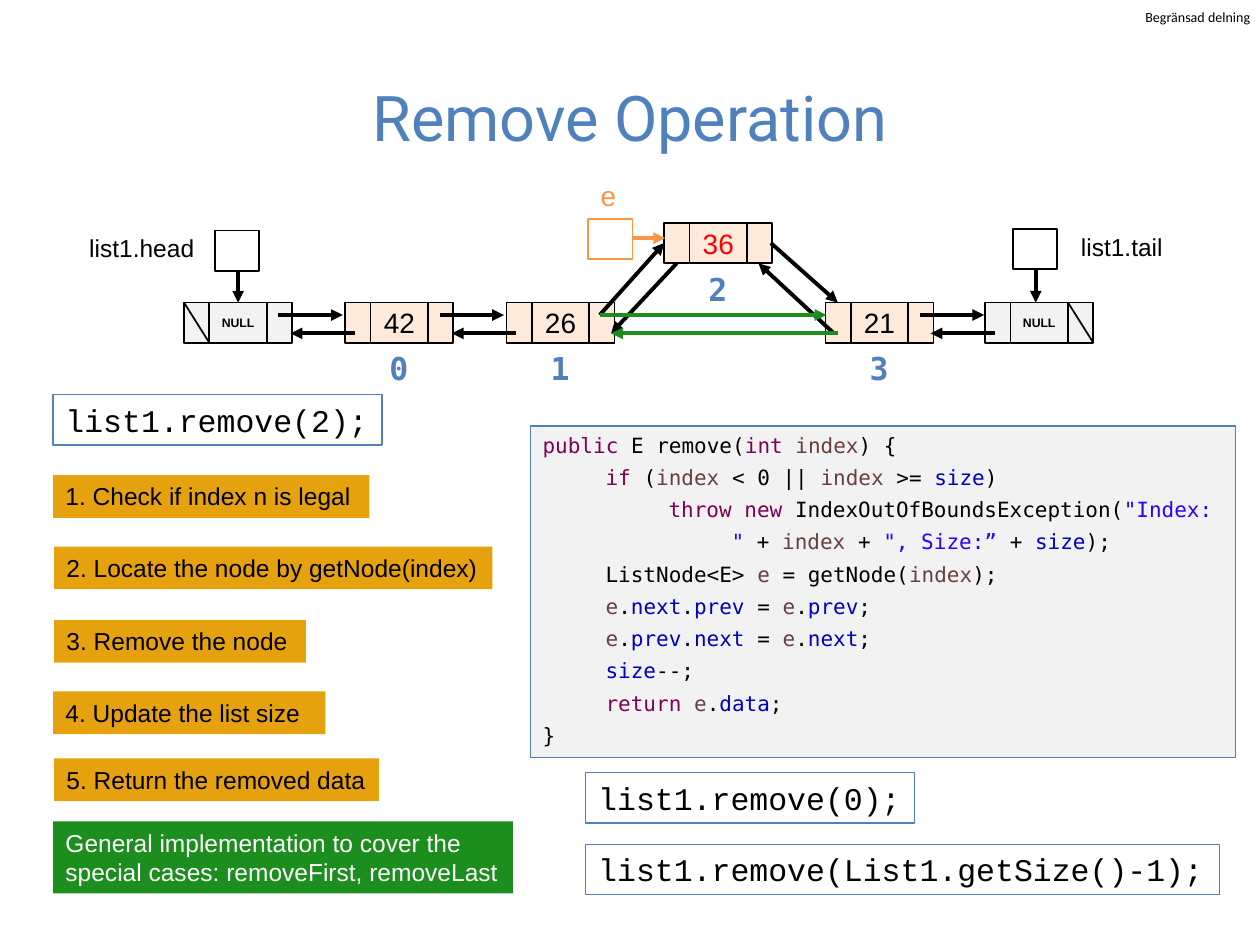
from dataclasses import dataclass

from lxml import etree
from pptx import Presentation
from pptx.dml.color import RGBColor
from pptx.enum.shapes import MSO_CONNECTOR, MSO_SHAPE
from pptx.enum.text import MSO_ANCHOR, MSO_AUTO_SIZE, PP_ALIGN
from pptx.oxml.ns import qn
from pptx.util import Cm, Pt

RECTANGLE = MSO_SHAPE.RECTANGLE
STRAIGHT = MSO_CONNECTOR.STRAIGHT
TOP, MIDDLE = MSO_ANCHOR.TOP, MSO_ANCHOR.MIDDLE
LEFT, CENTER = PP_ALIGN.LEFT, PP_ALIGN.CENTER
FIT = MSO_AUTO_SIZE.SHAPE_TO_FIT_TEXT

BLACK, WHITE, RED, BLUE = "000000", "FFFFFF", "FF0000", "4F81BD"
GREY, PEACH, AMBER = "F2F2F2", "FDEADA", "E6A20E"
GREEN, ORANGE = "1B8E1D", "F79646"
MONO = "DejaVu Sans Mono"

# Linked-list geometry, in centimetres
SIDE, DATA, HEIGHT = 0.51, 1.16, 0.81
ROW, RAISED = 6.1, 4.5
FORWARD, BACK = 6.35, 6.72
POINTER = 0.89


@dataclass(frozen=True)
class Area:
    left: float
    top: float
    width: float
    height: float


@dataclass(frozen=True)
class Style:
    size: float = 14
    font: str = "Arial"
    color: str = BLACK
    bold: bool = False


@dataclass(frozen=True)
class Node:
    left: float
    top: float
    text: str
    index: str = ""
    color: str = BLACK
    slash: float | None = None


@dataclass(frozen=True)
class Arrow:
    start: tuple[float, float]
    end: tuple[float, float]
    color: str = BLACK


def rgb(color: str) -> RGBColor:
    return RGBColor.from_string(color)


def add_span(para, text: str, style: Style) -> None:
    span = para.add_run()
    span.text = text
    span.font.size = Pt(style.size)
    span.font.name = style.font
    span.font.bold = style.bold
    span.font.color.rgb = rgb(style.color)


def add_box(page, area: Area, fill: str | None = None, line: str | None = None, weight: float = 1):
    box = page.shapes.add_shape(
        RECTANGLE, Cm(area.left), Cm(area.top), Cm(area.width), Cm(area.height))
    box.shadow.inherit = False
    if fill:
        box.fill.solid()
        box.fill.fore_color.rgb = rgb(fill)
    else:
        box.fill.background()
    if line:
        box.line.color.rgb = rgb(line)
        box.line.width = Pt(weight)
    else:
        box.line.fill.background()
    return box


def write(box, text: str, style: Style, align=LEFT, anchor=TOP, wrap: bool = True, fit: bool = True):
    frame = box.text_frame
    frame.word_wrap = wrap
    frame.vertical_anchor = anchor
    if fit:
        frame.auto_size = FIT
    para = frame.paragraphs[0]
    para.alignment = align
    add_span(para, text, style)
    return frame


def add_label(page, area: Area, text: str, style: Style, **options):
    box = page.shapes.add_textbox(
        Cm(area.left), Cm(area.top), Cm(area.width), Cm(area.height))
    return write(box, text, style, **options)


def add_line(page, arrow: Arrow, weight: float = 2.25, head: bool = True) -> None:
    line = page.shapes.add_connector(STRAIGHT, *(Cm(value) for value in arrow.start + arrow.end))
    line.line.color.rgb = rgb(arrow.color)
    line.line.width = Pt(weight)
    if head:
        etree.SubElement(line.line._get_or_add_ln(), qn("a:tailEnd"), type="triangle")
    etree.SubElement(line._element.spPr, qn("a:effectLst"))


def add_node(page, node: Node) -> None:
    fill = PEACH if node.index else GREY
    style = Style(16, color=node.color) if node.index else Style(7, bold=True)
    data = add_box(page, Area(node.left + SIDE, node.top, DATA, HEIGHT), fill, BLACK)
    write(data, node.text, style, align=CENTER, anchor=MIDDLE, fit=False)
    data.text_frame.margin_left = data.text_frame.margin_right = 0
    for offset in (0, SIDE + DATA):
        add_box(page, Area(node.left + offset, node.top, SIDE, HEIGHT), fill, BLACK)
    if node.slash is not None:
        left = node.left + node.slash
        add_line(page, Arrow((left, node.top), (left + SIDE, node.top + HEIGHT)), 1, False)
    if node.index:
        add_label(page, Area(node.left + 0.64, node.top + 0.82, 0.89, 1.02), node.index,
                  Style(18, MONO, BLUE, True), wrap=False)


HEAD = Node(3.71, ROW, "NULL", slash=0)
FIRST = Node(6.96, ROW, "42", "0")
SECOND = Node(10.21, ROW, "26", "1")
REMOVED = Node(13.39, RAISED, "36", "2", RED)
LAST = Node(16.64, ROW, "21", "3")
TAIL = Node(19.86, ROW, "NULL", slash=SIDE + DATA)

ARROWS = [
    *(Arrow((n.left + 1.9, FORWARD), (n.left + 3.2, FORWARD)) for n in (HEAD, FIRST, LAST)),
    *(Arrow((n.left + 0.2, BACK), (n.left - 1.1, BACK)) for n in (FIRST, SECOND, TAIL)),
    *(Arrow((x, 5.44), (x, ROW)) for x in (4.8, 20.88)),
    Arrow((12.09, FORWARD), (13.39, 4.9)),
    Arrow((15.54, 4.9), (16.89, ROW)),
    Arrow((16.81, BACK), (15.29, 5.31)),
    Arrow((13.64, 5.31), (12.32, BACK)),
    Arrow((12.09, FORWARD), (16.66, FORWARD), GREEN),
    Arrow((16.89, BACK), (12.32, BACK), GREEN),
    Arrow((12.75, 4.8), (13.41, 4.8), ORANGE),
]

STEPS = [
    (Area(1.07, 9.58, 6.38, 0.86), "1. Check if index n is legal"),
    (Area(1.09, 11.02, 8.84, 0.86), "2. Locate the node by getNode(index)"),
    (Area(1.09, 12.5, 5.08, 0.86), "3. Remove the node"),
    (Area(1.07, 13.94, 5.49, 0.86), "4. Update the list size"),
    (Area(1.09, 15.29, 6.55, 0.86), "5. Return the removed data"),
]

CALLS = [
    (Area(1.07, 7.95, 6.63, 1.02), "list1.remove(2);"),
    (Area(11.81, 15.57, 6.63, 1.02), "list1.remove(0);"),
    (Area(11.81, 17.02, 12.78, 1.02), "list1.remove(List1.getSize()-1);"),
]

# Code lines: indent level, then spans; the first letter of a span picks its colour
CODE_COLORS = {"k": "7F0055", "v": "6A3E3E", "f": "0000C0", "s": "2A00FF", "p": BLACK}
CODE = [
    (0, ["kpublic", "p E remove(", "kint ", "vindex", "p) {"]),
    (1, ["kif", "p (", "vindex", "p < 0 || ", "vindex", "p >= ", "fsize", "p)"]),
    (2, ["kthrow new", "p IndexOutOfBoundsException(", 's"Index:']),
    (3, ['s"', "p + ", "vindex", "p + ", 's", Size:” ', "p+ ", "fsize", "p);"]),
    (1, ["pListNode<E> ", "ve", "p = getNode(", "vindex", "p);"]),
    (1, ["ve", "p.", "fnext", "p.", "fprev", "p = ", "ve", "p.", "fprev", "p;"]),
    (1, ["ve", "p.", "fprev", "p.", "fnext", "p = ", "ve", "p.", "fnext", "p;"]),
    (1, ["fsize", "p--;"]),
    (1, ["kreturn ", "ve", "p.", "fdata", "p;"]),
    (0, ["p}"]),
]


def add_code(page, area: Area) -> None:
    frame = add_box(page, area, GREY, BLUE, 0.75).text_frame
    frame.word_wrap = True
    frame.vertical_anchor = TOP
    frame.auto_size = FIT
    for number, (level, spans) in enumerate(CODE):
        para = frame.add_paragraph() if number else frame.paragraphs[0]
        para.alignment = LEFT
        para.space_after = Pt(2)
        if number:
            para.space_before = Pt(2)
        para._p.get_or_add_pPr().set("marL", str(Cm(1.27 * level)))
        for span in spans:
            add_span(para, span[1:], Style(12, MONO, CODE_COLORS[span[0]]))


def main() -> None:
    deck = Presentation()
    deck.slide_width, deck.slide_height = Cm(25.4), Cm(19.05)
    page = deck.slides.add_slide(deck.slide_layouts[6])

    # Sharing mark and title
    mark = add_label(page, Area(23.09, 0.18, 2.18, 0.33), "Begränsad delning",
                     Style(8, "Calibri"), wrap=False)
    mark.margin_left = mark.margin_right = mark.margin_top = mark.margin_bottom = 0
    add_label(page, Area(1.27, 0.76, 22.86, 3.18), "Remove Operation",
              Style(36, "Roboto", BLUE), align=CENTER, anchor=MIDDLE, fit=False)

    # Linked list
    for node in (HEAD, FIRST, SECOND, REMOVED, LAST, TAIL):
        add_node(page, node)
    for left, top, color in ((4.34, 4.65, BLACK), (20.42, 4.62, BLACK), (11.86, 4.42, ORANGE)):
        add_box(page, Area(left, top, POINTER, HEIGHT), WHITE, color)
    for arrow in ARROWS:
        add_line(page, arrow)
    add_label(page, Area(1.55, 4.57, 2.64, 0.86), "list1.head", Style(), wrap=False)
    add_label(page, Area(21.54, 4.55, 2.18, 0.86), "list1.tail", Style(), wrap=False)
    add_label(page, Area(11.86, 3.48, 0.84, 0.94), "e", Style(16, color=ORANGE), wrap=False)

    # Steps, code and calls
    for area, text in STEPS:
        write(add_box(page, area, AMBER), text, Style())
    write(add_box(page, Area(1.07, 16.56, 9.27, 1.45), GREEN),
          "General implementation to cover the special cases: removeFirst, removeLast",
          Style(color=WHITE))
    add_code(page, Area(10.69, 8.59, 14.22, 6.68))
    for area, text in CALLS:
        write(add_box(page, area, line=BLUE, weight=0.75), text,
              Style(18, "Courier New"), wrap=False)

    deck.save("out.pptx")


if __name__ == "__main__":
    main()
